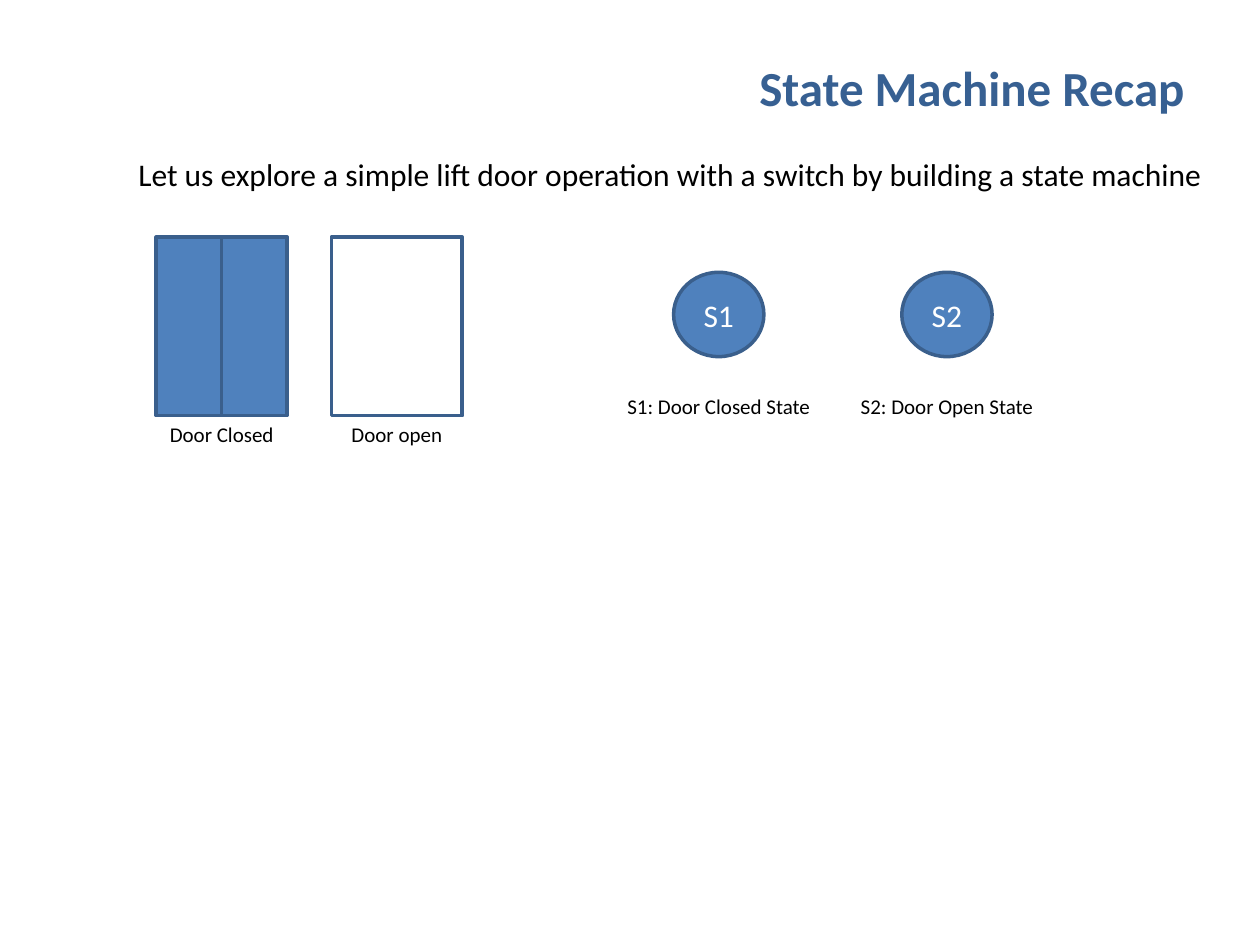
import dataclasses

import pptx
import pptx.dml.color
import pptx.enum.shapes
import pptx.enum.text
import pptx.util

Cm = pptx.util.Cm
Pt = pptx.util.Pt
Align = pptx.enum.text.PP_ALIGN
Anchor = pptx.enum.text.MSO_ANCHOR
Kind = pptx.enum.shapes.MSO_SHAPE


@dataclasses.dataclass(frozen=True)
class Theme:
    """Colours, type sizes and font of the slide."""
    font: str = "Calibri"
    title: str = "376092"
    ink: str = "000000"
    light: str = "FFFFFF"
    fill: str = "4F81BD"
    edge: str = "3A5F8C"
    head: int = 28
    body: int = 18
    small: int = 12
    line: int = 2


THEME = Theme()


def tint(code):
    """Return the colour for a hex code."""
    return pptx.dml.color.RGBColor.from_string(code)


def write(frame, text, size, color, align=Align.LEFT, bold=False):
    """Put one formatted run into a text frame."""
    para = frame.paragraphs[0]
    para.alignment = align
    run = para.add_run()
    run.text = text
    font = run.font
    font.name, font.size, font.bold = THEME.font, Pt(size), bold
    font.color.rgb = tint(color)


def add_title(slide, text):
    """Fill and place the title placeholder."""
    title = slide.shapes.title
    title.left, title.top = Cm(4.09), Cm(0.97)
    title.width, title.height = Cm(20.04), Cm(1.55)
    title.text_frame.vertical_anchor = Anchor.MIDDLE
    write(title.text_frame, text, THEME.head, THEME.title, Align.RIGHT, True)


def add_label(home, text, left, top, width, height, size, align=Align.LEFT):
    """Add a line of text that does not wrap."""
    box = home.add_textbox(Cm(left), Cm(top), Cm(width), Cm(height))
    frame = box.text_frame
    frame.word_wrap = False
    frame.auto_size = pptx.enum.text.MSO_AUTO_SIZE.SHAPE_TO_FIT_TEXT
    write(frame, text, size, THEME.ink, align)


def add_note(home, text, mid, top, width):
    """Add a small caption centred on mid."""
    add_label(home, text, mid - width / 2, top, width, 0.77,
              THEME.small, Align.CENTER)


def add_form(home, kind, left, top, width, height, solid=True):
    """Add an outlined shape, filled or open."""
    form = home.add_shape(kind, Cm(left), Cm(top), Cm(width), Cm(height))
    form.shadow.inherit = False
    if solid:
        form.fill.solid()
        form.fill.fore_color.rgb = tint(THEME.fill)
    else:
        form.fill.background()
    form.line.color.rgb = tint(THEME.edge)
    form.line.width = Pt(THEME.line)
    return form


def add_door(home, left, leaves, solid, text, width):
    """Add a door made of equal leaves, with its caption below."""
    top, wide, high = 4.78, 2.64, 3.6
    leaf = wide / leaves
    for num in range(leaves):
        add_form(home, Kind.RECTANGLE, left + num * leaf, top, leaf, high,
                 solid)
    add_note(home, text, left + wide / 2, top + high, width)


def add_state(home, mid, name, text, width):
    """Add a state circle centred on mid, with its caption below."""
    wide, high = 1.82, 1.7
    form = add_form(home, Kind.OVAL, mid - wide / 2, 5.49, wide, high)
    form.text_frame.vertical_anchor = Anchor.MIDDLE
    write(form.text_frame, name, THEME.body, THEME.light, Align.CENTER)
    add_note(home, f"{name}: {text}", mid, 7.8, width)


def main():
    """Build the slide and save it."""
    deck = pptx.Presentation()
    deck.slide_width, deck.slide_height = Cm(25.4), Cm(19.05)
    slide = deck.slides.add_slide(deck.slide_layouts.get_by_name("Title Only"))
    add_title(slide, "State Machine Recap")
    add_label(slide.shapes, "Let us explore a simple lift door operation with "
              "a switch by building a state machine",
              2.54, 3, 22.1, 1.02, THEME.body)

    doors = slide.shapes.add_group_shape().shapes
    add_door(doors, 3.15, 2, True, "Door Closed", 2.64)
    add_door(doors, 6.68, 1, False, "Door open", 2.36)

    states = slide.shapes.add_group_shape().shapes
    add_state(states, 14.49, "S1", "Door Closed State", 4.24)
    add_state(states, 19.09, "S2", "Door Open State", 4.04)
    deck.save("out.pptx")


main()
